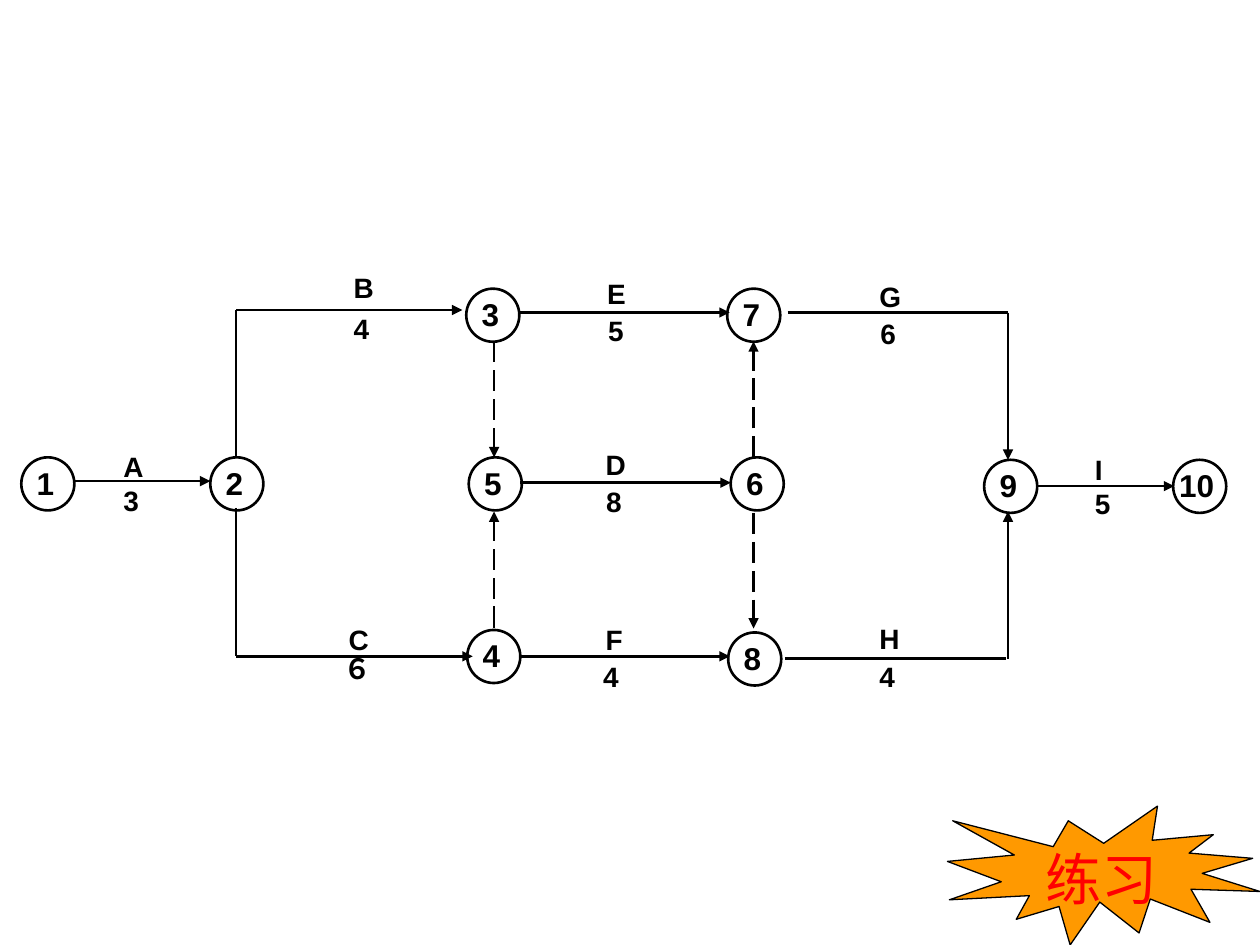
from lxml import etree
from pptx import Presentation
from pptx.dml.color import RGBColor
from pptx.enum import dml, shapes, text
from pptx.oxml.ns import qn
from pptx.util import Cm, Pt

BLACK, RED, ORANGE = "000000", "FF0000", "FF9900"
FONT = "Arial"
CIRCLE = 1.07

# All positions are in centimetres.
# Event number: left, top of its circle
EVENTS = {
    "1": (0.43, 9.22), "2": (4.24, 9.22),
    "3": (9.4, 5.82), "4": (9.42, 12.7), "5": (9.45, 9.22),
    "6": (14.73, 9.22), "7": (14.66, 5.82), "8": (14.68, 12.75),
    "9": (19.84, 9.27), "10": (23.65, 9.27),
}

# Activity, its left and top, duration, its left and top
ACTIVITIES = [
    ("A", 2.24, 8.94, "3", 2.24, 9.63),
    ("B", 6.88, 5.33, "4", 6.88, 6.15),
    ("C", 6.78, 12.42, "６", 6.68, 13.0),
    ("D", 11.96, 8.89, "8", 11.97, 9.65),
    ("E", 11.99, 5.46, "5", 12.01, 6.2),
    ("F", 11.96, 12.42, "4", 11.91, 13.18),
    ("G", 17.48, 5.51, "6", 17.5, 6.25),
    ("H", 17.48, 12.4, "4", 17.48, 13.18),
    ("I", 21.82, 8.99, "5", 21.82, 9.68),
]

# Start x, y, end x, y; arrows point at their end
ACTIVITY_ARROWS = [
    (1.5, 9.7, 4.24, 9.7),
    (4.76, 6.25, 9.32, 6.25),
    (4.76, 13.23, 9.53, 13.23),
    (10.46, 6.3, 14.71, 6.3),
    (10.49, 9.73, 14.73, 9.73),
    (10.49, 13.23, 14.71, 13.23),
    (20.32, 6.3, 20.32, 9.27),
    (20.32, 13.28, 20.32, 10.31),
    (20.9, 9.8, 23.67, 9.8),
]
DUMMY_ARROWS = [
    (9.96, 6.88, 9.96, 9.22),
    (9.96, 12.65, 9.96, 10.31),
    (15.19, 9.22, 15.19, 6.88),
    (15.19, 10.34, 15.19, 12.67),
]
PLAIN_LINES = [
    (4.76, 9.22, 4.76, 6.25),
    (4.76, 10.24, 4.76, 13.23),
    (15.88, 6.3, 20.32, 6.3),
    (15.82, 13.28, 20.27, 13.28),
]


def rgb(color):
    return RGBColor.from_string(color)


def add_text(slide, wording, left, top, width, height, size=16, bold=True, color=BLACK):
    box = slide.shapes.add_textbox(Cm(left), Cm(top), Cm(width), Cm(height))
    frame = box.text_frame
    frame.word_wrap = True
    frame.auto_size = text.MSO_AUTO_SIZE.SHAPE_TO_FIT_TEXT
    run = frame.paragraphs[0].add_run()
    run.text = wording
    run.font.name = FONT
    run.font.size = Pt(size)
    run.font.bold = bold
    run.font.color.rgb = rgb(color)


def add_outlined(slide, kind, left, top, width, height, line_width, fill=None):
    shape = slide.shapes.add_shape(kind, Cm(left), Cm(top), Cm(width), Cm(height))
    shape.shadow.inherit = False
    if fill:
        shape.fill.solid()
        shape.fill.fore_color.rgb = rgb(fill)
    else:
        shape.fill.background()
    shape.line.color.rgb = rgb(BLACK)
    shape.line.width = Pt(line_width)


def add_line(slide, ends, arrow=True, dashed=False):
    connector = slide.shapes.add_connector(
        shapes.MSO_CONNECTOR.STRAIGHT, *(Cm(end) for end in ends))
    connector.line.color.rgb = rgb(BLACK)
    connector.line.width = Pt(1.5)
    if dashed:
        connector.line.dash_style = dml.MSO_LINE.LONG_DASH
    properties = connector.element.spPr
    if arrow:
        etree.SubElement(properties.find(qn("a:ln")), qn("a:tailEnd"), type="triangle")
    etree.SubElement(properties, qn("a:effectLst"))


def main():
    deck = Presentation()
    deck.slide_width, deck.slide_height = Cm(25.4), Cm(19.05)
    slide = deck.slides.add_slide(deck.slide_layouts[6])

    for activity, left, top, duration, duration_left, duration_top in ACTIVITIES:
        add_text(slide, activity, left, top, 1.12, 0.94)
        add_text(slide, duration, duration_left, duration_top, 1.12, 0.94)

    for number, (left, top) in EVENTS.items():
        indent, width = (0.06, 0.85) if len(number) == 1 else (-0.13, 1.28)
        add_text(slide, number, left + indent, top, width, 1.02, size=18)
        add_outlined(slide, shapes.MSO_SHAPE.OVAL, left, top, CIRCLE, CIRCLE, 1.5)

    for ends in ACTIVITY_ARROWS:
        add_line(slide, ends)
    for ends in DUMMY_ARROWS:
        add_line(slide, ends, dashed=True)
    for ends in PLAIN_LINES:
        add_line(slide, ends, arrow=False)

    add_outlined(slide, shapes.MSO_SHAPE.EXPLOSION1, 19.1, 16.25, 6.3, 2.8, 0.75, fill=ORANGE)
    add_text(slide, "练习", 20.83, 16.89, 2.84, 1.63, size=32, bold=False, color=RED)

    deck.save("out.pptx")


if __name__ == "__main__":
    main()
